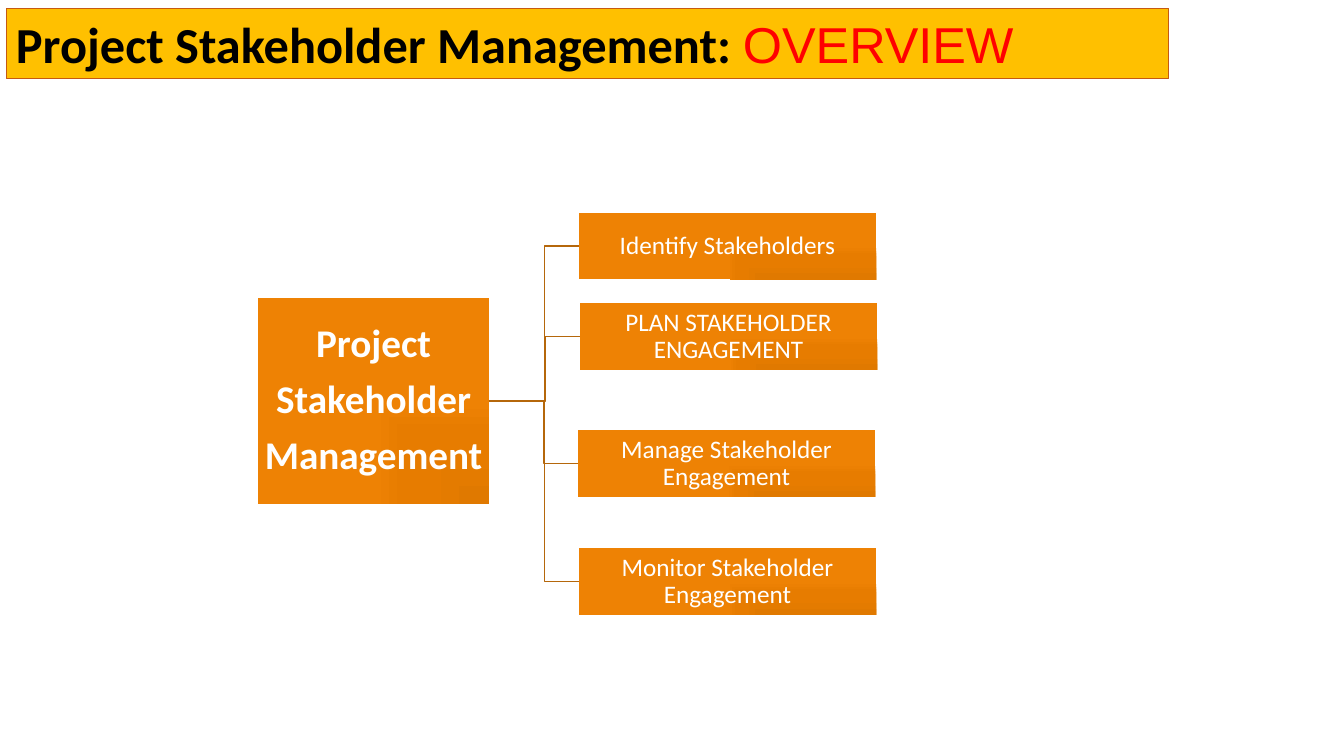
import pptx
import pptx.dml.color
import pptx.enum.shapes
import pptx.enum.text
import pptx.oxml.ns
import pptx.util
from lxml import etree

WIDTH, HEIGHT = pptx.util.Inches(13.33), pptx.util.Inches(7.5)
ORANGE_STOPS = [(0, "E07900"), (34, "E47B00"), (70, "E77C00"), (100, "EE8204")]
BRANCH_SIZE = (22.13, 8.8)
# Left and top as percentages of the slide.
BRANCHES = [
    ("Identify Stakeholders", 43.06, 28.13),
    ("PLAN STAKEHOLDER ENGAGEMENT", 43.14, 40.13),
    ("Manage Stakeholder Engagement", 42.99, 56.93),
    ("Monitor Stakeholder Engagement", 43.06, 72.53),
]


def color(value):
    return pptx.dml.color.RGBColor.from_string(value)


def add_tag(parent, tag, **attributes):
    return etree.SubElement(parent, pptx.oxml.ns.qn(tag), attributes)


def add_box(page, left, top, width, height):
    """Add a rectangle placed by percentages of the slide."""
    box = page.shapes.add_shape(
        pptx.enum.shapes.MSO_SHAPE.RECTANGLE,
        int(WIDTH * left / 100), int(HEIGHT * top / 100),
        int(WIDTH * width / 100), int(HEIGHT * height / 100))
    box.shadow.inherit = False
    box.text_frame.word_wrap = True
    return box


def fill_gradient(box):
    """Shade the box from its bottom right corner."""
    box.fill.gradient()
    gradient = box.element.spPr.find(pptx.oxml.ns.qn("a:gradFill"))
    for child in list(gradient):
        gradient.remove(child)
    stops = add_tag(gradient, "a:gsLst")
    for position, value in ORANGE_STOPS:
        stop = add_tag(stops, "a:gs", pos=str(position * 1000))
        add_tag(stop, "a:srgbClr", val=value)
    shade = add_tag(gradient, "a:path", path="rect")
    add_tag(shade, "a:fillToRect", l="100000", t="100000")


def add_title(page):
    box = add_box(page, 0.45, 1.07, 86.5, 9.33)
    box.fill.solid()
    box.fill.fore_color.rgb = color("FFC000")
    box.line.color.rgb = color("C55A11")
    box.line.width = pptx.util.Pt(0.75)
    box.text_frame.vertical_anchor = pptx.enum.text.MSO_ANCHOR.TOP
    para = box.text_frame.paragraphs[0]
    para.alignment = pptx.enum.text.PP_ALIGN.LEFT
    para.font.size = pptx.util.Pt(36)
    for text, font, value, bold in [
            ("Project Stakeholder Management: ", "Calibri", "000000", True),
            ("OVERVIEW", "Arial", "FF0000", False)]:
        span = para.add_run()
        span.text = text
        span.font.name = font
        span.font.bold = bold
        span.font.color.rgb = color(value)


def add_node(page, text, place, size, inset, bold=False):
    """Add a chart box; each line of text is a paragraph."""
    box = add_box(page, *place)
    fill_gradient(box)
    box.line.fill.background()
    frame = box.text_frame
    frame.margin_left = frame.margin_right = pptx.util.Inches(inset)
    frame.margin_top = frame.margin_bottom = pptx.util.Inches(inset)
    frame.vertical_anchor = pptx.enum.text.MSO_ANCHOR.MIDDLE
    frame.text = text
    for para in frame.paragraphs:
        para.alignment = pptx.enum.text.PP_ALIGN.CENTER
        para.line_spacing = 0.9
        para.space_after = pptx.util.Pt(size * 0.35)
        para.font.name = "Calibri"
        para.font.size = pptx.util.Pt(size)
        para.font.bold = bold
        para.font.color.rgb = color("FFFFFF")
    return box


def join(page, root, branch):
    """Draw an elbow from the root's right side to the branch's left side."""
    elbow = page.shapes.add_connector(
        pptx.enum.shapes.MSO_CONNECTOR.ELBOW,
        root.left + root.width, root.top + root.height // 2,
        branch.left, branch.top + branch.height // 2)
    elbow.begin_connect(root, 3)
    elbow.end_connect(branch, 1)
    elbow.line.color.rgb = color("B5670B")
    elbow.line.width = pptx.util.Pt(1)
    properties = elbow.element.spPr
    bend = properties.find(".//" + pptx.oxml.ns.qn("a:avLst"))
    add_tag(bend, "a:gd", name="adj1", fmla="val 62000")
    add_tag(properties, "a:effectLst")


def main():
    deck = pptx.Presentation()
    deck.slide_width, deck.slide_height = WIDTH, HEIGHT
    page = deck.slides.add_slide(deck.slide_layouts[6])
    add_title(page)
    root = add_node(page, "Project\nStakeholder\nManagement",
                    (19.2, 39.47, 17.18, 27.2), 28, 0.02, bold=True)
    for text, left, top in BRANCHES:
        branch = add_node(page, text, (left, top, *BRANCH_SIZE), 18, 0.01)
        join(page, root, branch)
    deck.save("out.pptx")


if __name__ == "__main__":
    main()
